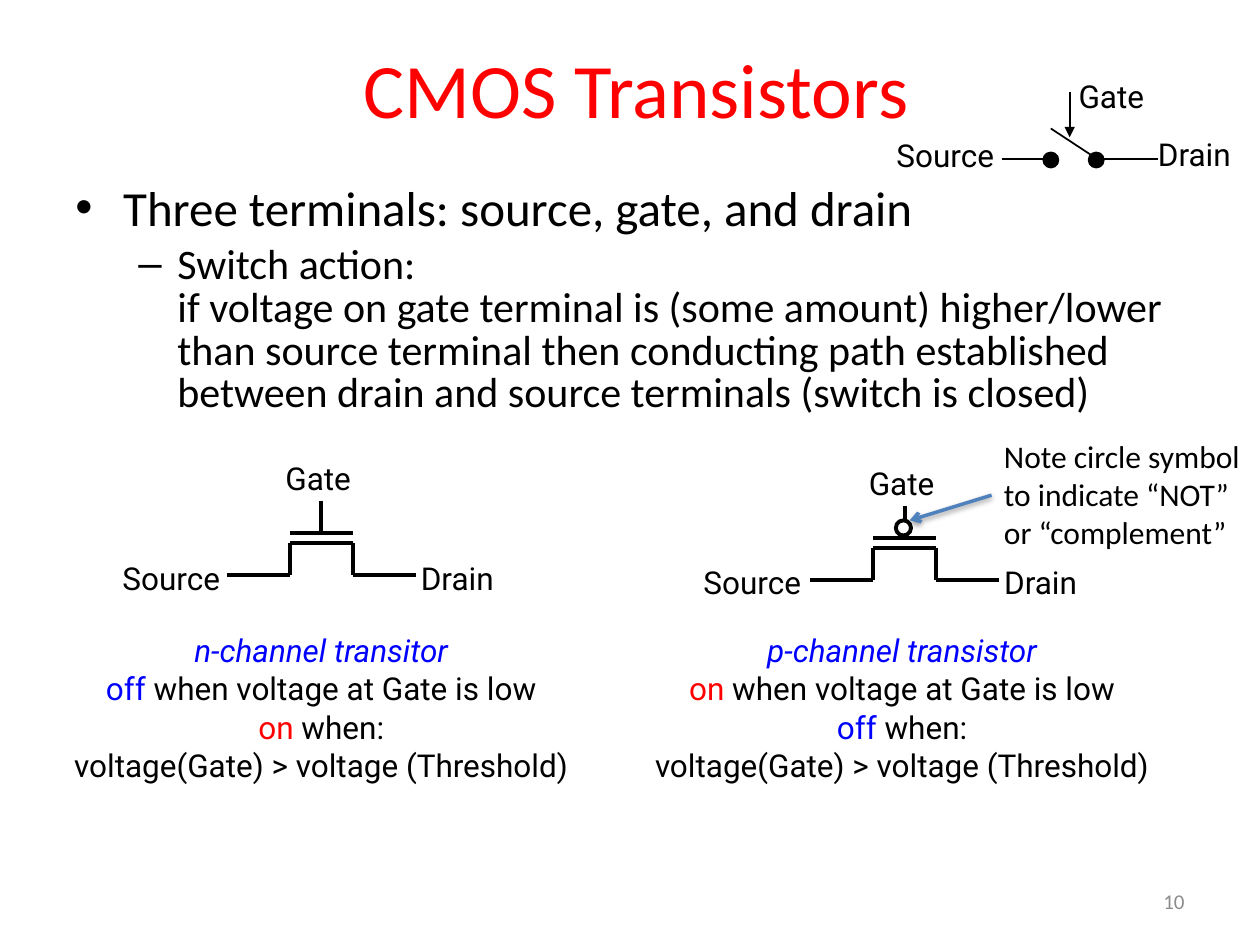
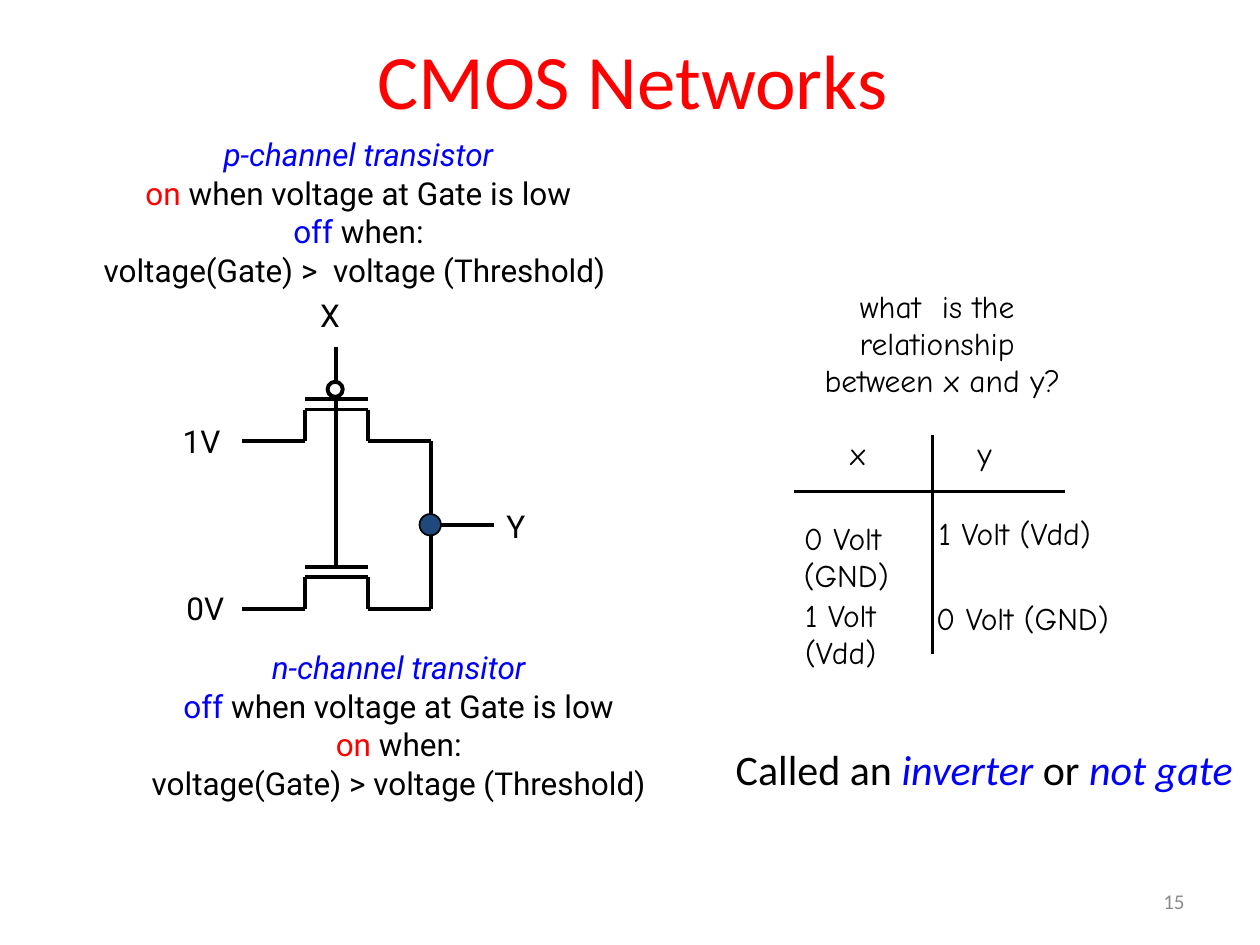
import itertools
import lxml.etree
import pptx
import pptx.dml.color
import pptx.enum.shapes
import pptx.enum.text
import pptx.oxml.ns
import pptx.util

PX = 9144
BLACK, WHITE, RED, BLUE = "000000", "FFFFFF", "FF0000", "0000FF"
GREY, NAVY, STEEL = "8C8C8C", "1F497D", "4F81BD"
HEADING_FONT, LABEL_FONT, HAND_FONT = "Calibri", "Roboto", "Comic Neue"
ALIGN = pptx.enum.text.PP_ALIGN
ANCHOR = pptx.enum.text.MSO_ANCHOR
TIGHT = (2, 3, 2, 3)
ROOMY = (10, 5, 10, 5)
PLAIN = {"color": BLACK}
HOT = {"color": RED}
COOL = {"color": BLUE}
TERM = {"color": BLUE, "italic": True}


def px(*lengths):
    return [pptx.util.Emu(length * PX) for length in lengths]


def rgb(color):
    return pptx.dml.color.RGBColor.from_string(color)


def set_all(target, values):
    for name, value in values.items():
        setattr(target, name, value)


def add_child(parent, tag, **attributes):
    child = lxml.etree.SubElement(parent, pptx.oxml.ns.qn(tag))
    for name, value in attributes.items():
        child.set(name, value)
    return child


def add_span(para, text, font, size, color=BLACK, italic=False):
    for index, line in enumerate(text.split("\n")):
        if index:
            para.add_line_break()
        if line:
            span = para.add_run()
            span.text = line
            set_all(span.font, {"name": font, "size": pptx.util.Pt(size), "italic": italic})
            span.font.color.rgb = rgb(color)


def add_text(page, place, paragraphs, font=HEADING_FONT, size=18, align=ALIGN.LEFT,
             spacing=None, inset=ROOMY, wrap=True, anchor=ANCHOR.TOP):
    frame = page.shapes.add_textbox(*px(*place)).text_frame
    set_all(frame, {"word_wrap": wrap, "vertical_anchor": anchor})
    sides = ("margin_left", "margin_top", "margin_right", "margin_bottom")
    set_all(frame, dict(zip(sides, px(*inset))))
    for index, spans in enumerate(paragraphs):
        para = frame.add_paragraph() if index else frame.paragraphs[0]
        para.alignment = align
        if spacing:
            para.line_spacing = pptx.util.Pt(spacing)
        for text, style in spans:
            add_span(para, text, font, size, **style)
    return frame


def add_label(page, place, text, spacing, align=ALIGN.LEFT, font=LABEL_FONT):
    paragraphs = text if isinstance(text, list) else [text]
    add_text(page, place, [[(line, PLAIN)] for line in paragraphs], font,
             align=align, spacing=spacing, inset=TIGHT, wrap=False)


def add_title(page, left, top, text):
    add_text(page, (left, top, 900, 125), [[(text, HOT)]], size=44,
             align=ALIGN.CENTER, anchor=ANCHOR.MIDDLE)


def add_page_number(page, number):
    add_text(page, (717, 695, 233, 40), [[(str(number), {"color": GREY})]], size=12,
             align=ALIGN.RIGHT, anchor=ANCHOR.MIDDLE)


def add_bullets(page, place, bullets):
    frame = add_text(page, place, [[] for _ in bullets])
    for para, (text, size, mark, margin, hang, before, spacing) in zip(frame.paragraphs, bullets):
        set_all(para, {"space_before": pptx.util.Pt(before), "line_spacing": spacing})
        properties = para._p.get_or_add_pPr()
        properties.set("marL", str(margin * PX))
        properties.set("indent", str(-hang * PX))
        add_child(properties, "a:buFont", typeface="Arial")
        add_child(properties, "a:buChar", char=mark)
        add_span(para, text, HEADING_FONT, size)


def add_line(page, start, end, width=2.25, color=BLACK, head=None, shadow=False):
    straight = pptx.enum.shapes.MSO_CONNECTOR.STRAIGHT
    line = page.shapes.add_connector(straight, *px(*start, *end))
    line.line.width = pptx.util.Pt(width)
    line.line.color.rgb = rgb(color)
    if head:
        add_child(line.line._get_or_add_ln(), "a:tailEnd", type=head)
    effects = add_child(line._element.spPr, "a:effectLst")
    if shadow:
        outer = add_child(effects, "a:outerShdw", blurRad="40000", dist="20000",
                          dir="5400000", rotWithShape="0")
        add_child(add_child(outer, "a:srgbClr", val=BLACK), "a:alpha", val="38000")


def add_dot(page, left, top, size, fill, width=1):
    oval = pptx.enum.shapes.MSO_SHAPE.OVAL
    dot = page.shapes.add_shape(oval, *px(left, top, size, size))
    dot.shadow.inherit = False
    dot.fill.solid()
    dot.fill.fore_color.rgb = rgb(fill)
    dot.line.color.rgb = rgb(BLACK)
    dot.line.width = pptx.util.Pt(width)


def add_transistor(page, left, base, p_channel=False):
    channel = [(0, 0), (50, 0), (50, -25), (100, -25), (100, 0), (150, 0)]
    plate, gate = [(50, -33), (100, -33)], [(75, -33), (75, -58)]
    for outline in (channel, plate, gate):
        points = [(left + x, base + y) for x, y in outline]
        for start, end in itertools.pairwise(points):
            add_line(page, start, end)
    if p_channel:
        add_dot(page, left + 68, base - 47, 12, WHITE, 2.25)


def add_behaviour(page, place, name, low, high, condition):
    spans = [(name + "\n", TERM), low, ("when voltage at Gate is low\n", PLAIN),
             high, ("when:", PLAIN)]
    add_text(page, place, [spans, [(condition, PLAIN)]], LABEL_FONT, align=ALIGN.CENTER,
             spacing=22, inset=TIGHT, wrap=False)


def add_n_behaviour(page, place):
    add_behaviour(page, place, "n-channel transitor", ("off ", COOL), ("on ", HOT),
                  "voltage(Gate) > voltage (Threshold)")


def add_p_behaviour(page, place, condition):
    add_behaviour(page, place, "p-channel transistor", ("on ", HOT), ("off ", COOL), condition)


def add_switch(page):
    add_line(page, (795, 126), (832, 126), 1)
    add_line(page, (834, 102), (869, 125), 1)
    add_line(page, (871, 126), (919, 126), 1)
    add_line(page, (849, 73), (849, 109), 1, head="triangle")
    for left in (828, 864):
        add_dot(page, left, 121, 12, BLACK)
    add_label(page, (854, 52, 70, 49), "Gate", 26)
    add_label(page, (917, 98, 70, 49), "Drain", 26)
    add_label(page, (701, 99, 90, 49), "Source", 26, ALIGN.RIGHT)


def build_transistors(page):
    add_n_behaviour(page, (45, 497, 420, 185))
    add_p_behaviour(page, (506, 497, 420, 192), "voltage(Gate) > voltage (Threshold)")
    add_title(page, 55, 7, "CMOS Transistors")
    add_bullets(page, (50, 136, 900, 206), [
        ("Three terminals: source, gate, and drain", 28, "•", 38, 38, 6, 1.0),
        ("Switch action:\nif voltage on gate terminal is (some amount) higher/lower "
         "than source terminal then conducting path established between drain and "
         "source terminals (switch is closed)", 24, "–", 81, 31, 5, 0.85)])
    add_label(page, (218, 361, 69, 47), "Gate", 22, ALIGN.CENTER)
    add_label(page, (91, 440, 90, 47), "Source", 22, ALIGN.CENTER)
    add_label(page, (332, 440, 70, 47), "Drain", 22)
    add_transistor(page, 180, 456)
    add_label(page, (681, 365, 69, 47), "Gate", 22, ALIGN.CENTER)
    add_label(page, (544, 443, 100, 47), "Source ", 22, ALIGN.RIGHT)
    add_label(page, (795, 443, 70, 47), "Drain", 22)
    add_transistor(page, 643, 460, p_channel=True)
    add_page_number(page, 10)
    note = "Note circle symbol to indicate “NOT” or “complement”"
    add_text(page, (787, 342, 213, 101), [[(note, PLAIN)]])
    add_line(page, (787, 393), (722, 413), 2, STEEL, "arrow", shadow=True)
    add_switch(page)


def add_truth_table(page):
    add_line(page, (630, 390), (845, 390), 2)
    add_line(page, (740, 345), (740, 519), 2)
    for left, top, width, text in (
            (673, 342, 40, "x"), (774, 342, 40, "y"),
            (636, 410, 97, ["0 Volt", "(GND)"]), (743, 406, 150, "1 Volt (Vdd)"),
            (637, 471, 97, ["1 Volt", "(Vdd)"]), (741, 473, 150, "0 Volt (GND)")):
        add_label(page, (left, top, width, 45), text, 21, font=HAND_FONT)


def build_networks(page):
    add_line(page, (342, 350), (342, 483))
    add_line(page, (342, 417), (392, 417))
    add_line(page, (267, 434), (267, 275))
    for left, top, text in ((143, 333, "1V"), (252, 233, "X"), (400, 400, "Y"), (146, 465, "0V")):
        add_label(page, (left, top, 40, 45), text, 21)
    add_label(page, (633, 226, 230, 103), "what  is the \nrelationship \nbetween x and y?", 21,
              ALIGN.CENTER, HAND_FONT)
    add_truth_table(page)
    add_title(page, 52, 0, "CMOS Networks")
    add_transistor(page, 192, 483)
    add_transistor(page, 192, 350, p_channel=True)
    add_dot(page, 333, 408, 17, NAVY)
    add_page_number(page, 15)
    add_p_behaviour(page, (0, 104, 569, 137), "voltage(Gate) >  voltage (Threshold) ")
    add_n_behaviour(page, (98, 511, 437, 137))
    add_text(page, (574, 585, 426, 50), [[("Called an ", PLAIN), ("inverter ", TERM),
                                          ("or ", PLAIN), ("not gate", TERM)]],
             size=24, wrap=False)


def main():
    deck = pptx.Presentation()
    deck.slide_width, deck.slide_height = px(1000, 750)
    for build in (build_transistors, build_networks):
        build(deck.slides.add_slide(deck.slide_layouts[6]))
    deck.save("out.pptx")


if __name__ == "__main__":
    main()
